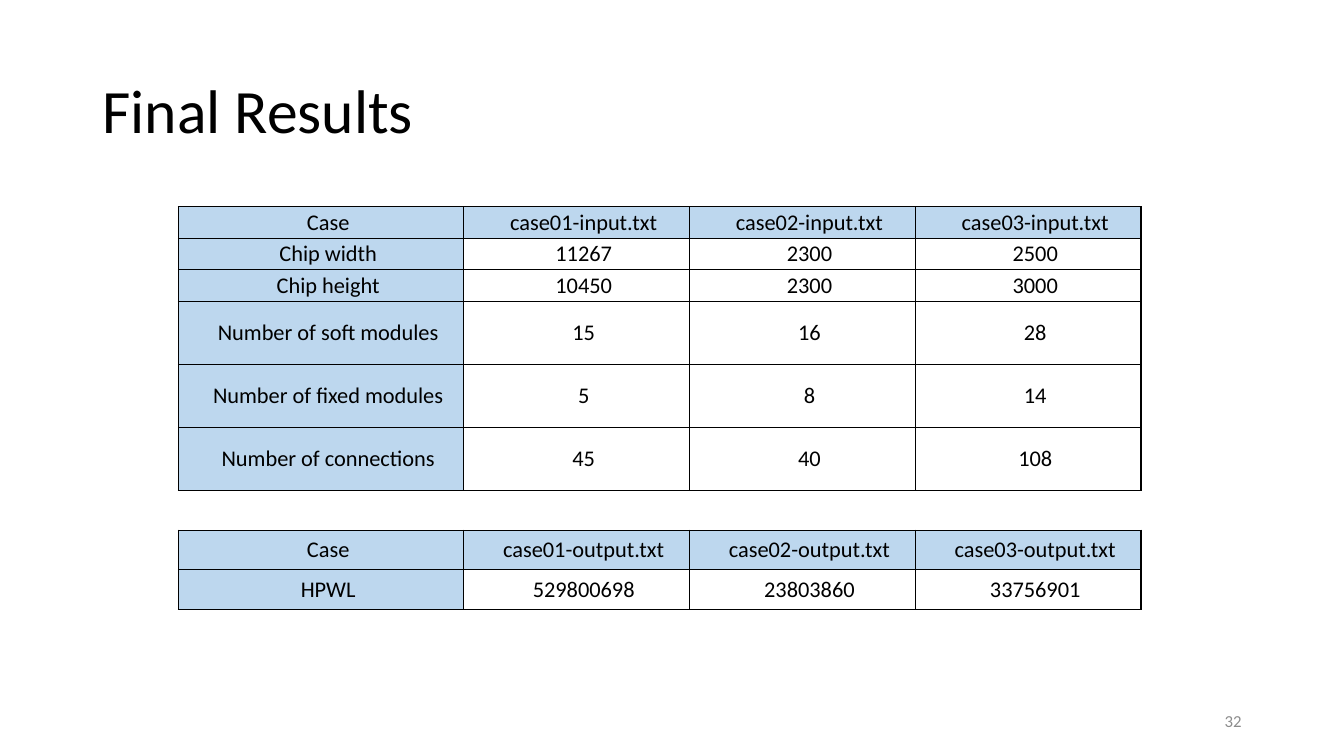
from dataclasses import dataclass

from lxml import etree
from pptx import Presentation
from pptx import util as u
from pptx.dml import color
from pptx.enum import text
from pptx.oxml import ns

SLIDE_W, SLIDE_H = u.Inches(13.333), u.Inches(7.5)


@dataclass(frozen=True)
class Theme:
    font: str = "Calibri"
    ink: str = "000000"
    muted: str = "8C8C8C"
    header: str = "BDD7EE"
    title_size: float = 44
    cell_size: float = 16
    number_size: float = 12
    border: float = 1


@dataclass(frozen=True)
class Label:
    """A text box; its box is left, top, width, height in percent of the slide."""
    words: str
    box: tuple[float, float, float, float]
    size: float
    ink: str
    align: text.PP_ALIGN
    spacing: float = 1.0


@dataclass(frozen=True)
class Grid:
    """A table; top and row heights are in percent of the slide height."""
    top: float
    heights: list[float]
    rows: list[list[str]]


THEME = Theme()
TABLE_LEFT = 13.28
COLUMN_WIDTHS = [21.23] + [16.8] * 3
CASES = ["case01", "case02", "case03"]
LOW_ROW, HPWL_ROW = 4.17, 5.25

LABELS = [
    Label("Final Results", (6.88, 5.33, 86.25, 19.33), THEME.title_size,
          THEME.ink, text.PP_ALIGN.LEFT, 0.9),
    Label("32", (70.63, 92.67, 22.5, 5.33), THEME.number_size,
          THEME.muted, text.PP_ALIGN.RIGHT),
]

GRIDS = [
    Grid(27.33, [LOW_ROW] * 3 + [2 * LOW_ROW] * 3, [
        ["Case"] + [f"{case}-input.txt" for case in CASES],
        ["Chip width", "11267", "2300", "2500"],
        ["Chip height", "10450", "2300", "3000"],
        ["Number of soft modules", "15", "16", "28"],
        ["Number of fixed modules", "5", "8", "14"],
        ["Number of connections", "45", "40", "108"],
    ]),
    Grid(70.13, [HPWL_ROW] * 2, [
        ["Case"] + [f"{case}-output.txt" for case in CASES],
        ["HPWL", "529800698", "23803860", "33756901"],
    ]),
]


def across(percent: float) -> int:
    return round(SLIDE_W * percent / 100)


def down(percent: float) -> int:
    return round(SLIDE_H * percent / 100)


def write(p, words: str, size: float, ink: str, align: text.PP_ALIGN) -> None:
    p.text = words
    p.alignment = align
    font = p.runs[0].font
    font.name, font.size = THEME.font, u.Pt(size)
    font.color.rgb = color.RGBColor.from_string(ink)


def draw_label(s, label: Label) -> None:
    left, top, width, height = label.box
    sp = s.shapes.add_textbox(across(left), down(top), across(width), down(height))
    tf = sp.text_frame
    tf.word_wrap = True
    tf.vertical_anchor = text.MSO_ANCHOR.MIDDLE
    p = tf.paragraphs[0]
    write(p, label.words, label.size, label.ink, label.align)
    p.line_spacing = label.spacing


def add_borders(cell) -> None:
    tc_pr = cell._tc.get_or_add_tcPr()
    for i, side in enumerate(("lnL", "lnR", "lnT", "lnB")):
        ln = etree.Element(ns.qn(f"a:{side}"), w=str(u.Pt(THEME.border)))
        fill = etree.SubElement(ln, ns.qn("a:solidFill"))
        etree.SubElement(fill, ns.qn("a:srgbClr"), val=THEME.ink)
        tc_pr.insert(i, ln)


def fill_cell(cell, words: str, is_header: bool) -> None:
    cell.margin_left = cell.margin_right = u.Inches(0.07)
    cell.margin_top = cell.margin_bottom = 0
    cell.vertical_anchor = text.MSO_ANCHOR.MIDDLE
    if is_header:
        cell.fill.solid()
        cell.fill.fore_color.rgb = color.RGBColor.from_string(THEME.header)
    else:
        cell.fill.background()
    p = cell.text_frame.paragraphs[0]
    write(p, words, THEME.cell_size, THEME.ink, text.PP_ALIGN.CENTER)
    p._p.get_or_add_pPr().set("indent", str(u.Inches(0.14)))
    add_borders(cell)


def draw_grid(s, grid: Grid) -> None:
    frame = s.shapes.add_table(
        len(grid.rows), len(COLUMN_WIDTHS), across(TABLE_LEFT), down(grid.top),
        across(sum(COLUMN_WIDTHS)), down(sum(grid.heights)))
    table = frame.table
    table.horz_banding = False
    for column, width in zip(table.columns, COLUMN_WIDTHS):
        column.width = across(width)
    for r, (height, row) in enumerate(zip(grid.heights, grid.rows)):
        table.rows[r].height = down(height)
        for c, words in enumerate(row):
            fill_cell(table.cell(r, c), words, is_header=r == 0 or c == 0)


def main() -> None:
    prs = Presentation()
    prs.slide_width, prs.slide_height = SLIDE_W, SLIDE_H
    s = prs.slides.add_slide(prs.slide_layouts[6])
    for label in LABELS:
        draw_label(s, label)
    for grid in GRIDS:
        draw_grid(s, grid)
    prs.save("out.pptx")


if __name__ == "__main__":
    main()
